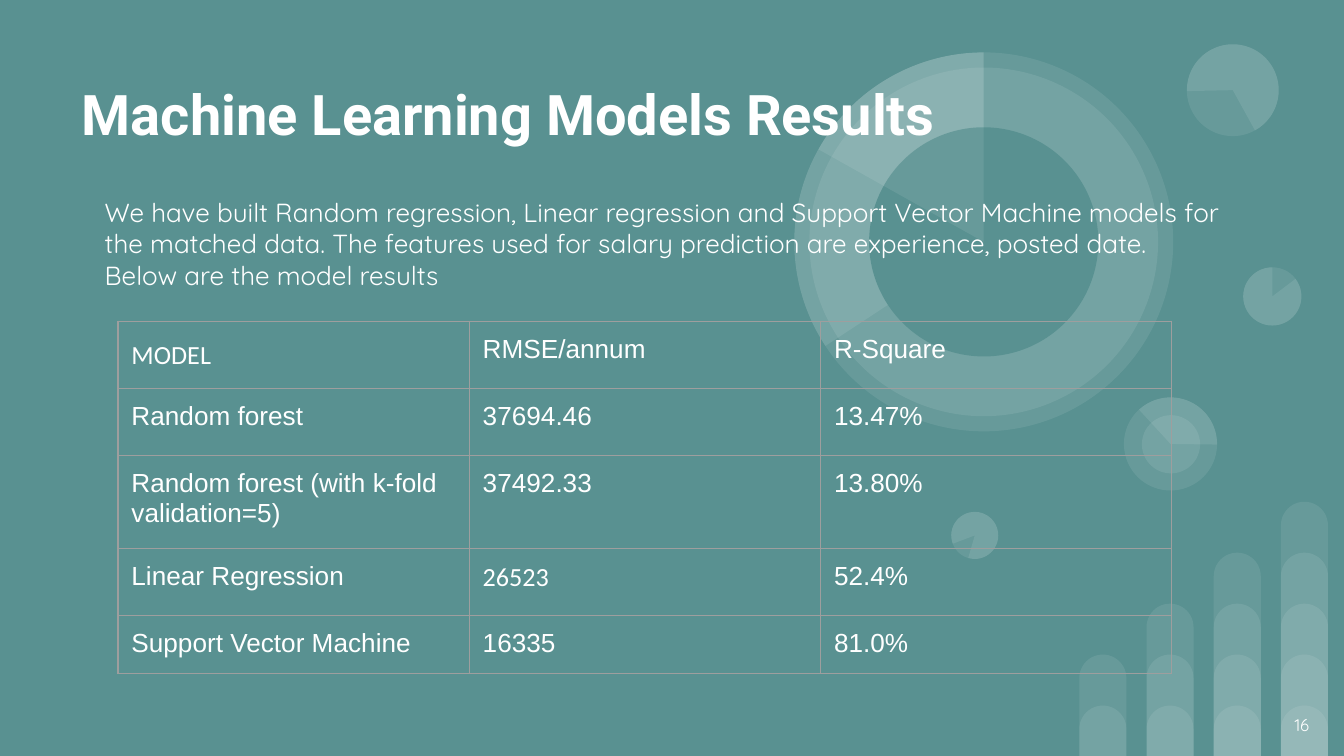
from lxml.etree import SubElement
from pptx import Presentation
from pptx.dml.color import RGBColor
from pptx.enum.shapes import MSO_SHAPE
from pptx.enum.text import MSO_ANCHOR, MSO_AUTO_SIZE, PP_ALIGN
from pptx.oxml.ns import qn
from pptx.util import Pt

WHITE, TEAL, GRAY = "FFFFFF", "599191", "9E9E9E"
INSET = 7.2


def color(value):
    return RGBColor.from_string(value)


def write(frame, text, size=14, font="Arial", bold=False, align=PP_ALIGN.LEFT, spacing=None):
    frame.word_wrap = True
    frame.text = text
    for para in frame.paragraphs:
        para.alignment = align
        para.line_spacing = spacing
        for span in para.runs:
            span.font.size = Pt(size)
            span.font.name = font
            span.font.bold = bold
            span.font.color.rgb = color(WHITE)


deck = Presentation()
deck.slide_width, deck.slide_height = Pt(720), Pt(405)
page = deck.slides.add_slide(deck.slide_layouts[5])
page.background.fill.solid()
page.background.fill.fore_color.rgb = color(TEAL)

BAR, DISC, PIE = MSO_SHAPE.ROUND_2_SAME_RECTANGLE, MSO_SHAPE.OVAL, MSO_SHAPE.PIE
decorations = []
for column in range(4):
    for level in range(column + 2):
        height = 27 + 27.3 * level
        decorations.append((BAR, 578.2 + 36 * column, 405 - height, 25.2, height, 0, (0.5, 0), WHITE))

round_shapes = [
    (DISC, 666, 143.2, 31.2, 0, (), WHITE),
    (DISC, 509.6, 274.2, 25.2, 196.2, (), WHITE),
    (DISC, 602.1, 212.9, 49.9, 90, (), WHITE),
    (PIE, 602.1, 212.9, 49.9, 90, (82.45, 162.46), WHITE),
    (DISC, 611.7, 222.4, 31.2, 90, (), WHITE),
    (PIE, 666, 143.2, 31.2, 0, (193.77, 162), WHITE),
    (DISC, 635.8, 23.7, 49.2, 215.9, (), WHITE),
    (PIE, 635.8, 23.7, 49.2, 215.9, (193.77, 123.14), WHITE),
    (DISC, 425.5, 28.1, 203, 0, (), WHITE),
    (DISC, 433.6, 36.2, 186.8, 34.1, (), WHITE),
    (PIE, 425.5, 28.1, 203, 0, (88.01, 162), WHITE),
    (DISC, 465.6, 68.2, 122.8, 34.1, (), TEAL),
    (PIE, 425.5, 28.1, 203, 0, (125.54, 162), WHITE),
    (PIE, 509.6, 274.2, 25.2, 196.2, (193.77, 162), WHITE),
]
for kind, left, top, size, *rest in round_shapes:
    decorations.append((kind, left, top, size, size, *rest))

for kind, left, top, width, height, rotation, adjustments, fill in decorations:
    shape = page.shapes.add_shape(kind, Pt(left), Pt(top), Pt(width), Pt(height))
    shape.shadow.inherit = False
    shape.rotation = rotation
    for index, value in enumerate(adjustments):
        shape.adjustments[index] = value
    shape.line.fill.background()
    shape.fill.solid()
    shape.fill.fore_color.rgb = color(fill)
    if fill == WHITE:
        SubElement(shape.fill._xPr.find(".//" + qn("a:srgbClr")), qn("a:alpha"), val="9000")

title = page.shapes.title
page.shapes._spTree.append(title._element)
title.left, title.top, title.width, title.height = Pt(36.7), Pt(35.3), Pt(638), Pt(51)
write(title.text_frame, "Machine Learning Models Results", size=30, font="Roboto", bold=True)

intro = page.shapes.add_textbox(Pt(49), Pt(98), Pt(613.4), Pt(99.4))
write(
    intro.text_frame,
    "We have built Random regression, Linear regression and Support Vector Machine models for "
    "the matched data. The features used for salary prediction are experience, posted date.\n"
    "Below are the model results",
    font="Quicksand",
)

results = [
    ["MODEL", "RMSE/annum", "R-Square"],
    ["Random forest", "37694.46", "13.47%"],
    ["Random forest (with k-fold validation=5)", "37492.33", "13.80%"],
    ["Linear Regression", "26523", "52.4%"],
]
last_result = [["Support Vector Machine", "16335", "81.0%"]]
for rows, top, heights in [(results, 172.1, [36, 36, 49.7, 36]), (last_result, 329.8, [31])]:
    holder = page.shapes.add_table(len(rows), 3, Pt(63.2), Pt(top), Pt(564.6), Pt(sum(heights)))
    table = holder.table
    table.first_row = table.horz_banding = False
    for column in table.columns:
        column.width = Pt(188.2)
    for row, height, texts in zip(table.rows, heights, rows):
        row.height = Pt(height)
        for cell, text in zip(row.cells, texts):
            cell.margin_left = cell.margin_right = cell.margin_top = cell.margin_bottom = Pt(INSET)
            write(
                cell.text_frame,
                text,
                font="Calibri" if text in ("MODEL", "26523") else "Arial",
                spacing=1.15 if text == "MODEL" else None,
            )
            properties = cell._tc.get_or_add_tcPr()
            for side in ("a:lnL", "a:lnR", "a:lnT", "a:lnB"):
                border = SubElement(properties, qn(side), w=str(Pt(0.75)))
                SubElement(SubElement(border, qn("a:solidFill")), qn("a:srgbClr"), val=GRAY)
            cell.fill.background()

number = page.shapes.add_textbox(Pt(665.3), Pt(373), Pt(43.2), Pt(31))
write(number.text_frame, "16", size=9, font="Quicksand", align=PP_ALIGN.RIGHT)

for box, anchor in [(title, MSO_ANCHOR.TOP), (intro, MSO_ANCHOR.TOP), (number, MSO_ANCHOR.MIDDLE)]:
    frame = box.text_frame
    frame.auto_size = MSO_AUTO_SIZE.NONE
    frame.vertical_anchor = anchor
    frame.margin_left = frame.margin_right = frame.margin_top = frame.margin_bottom = Pt(INSET)

deck.save("out.pptx")
